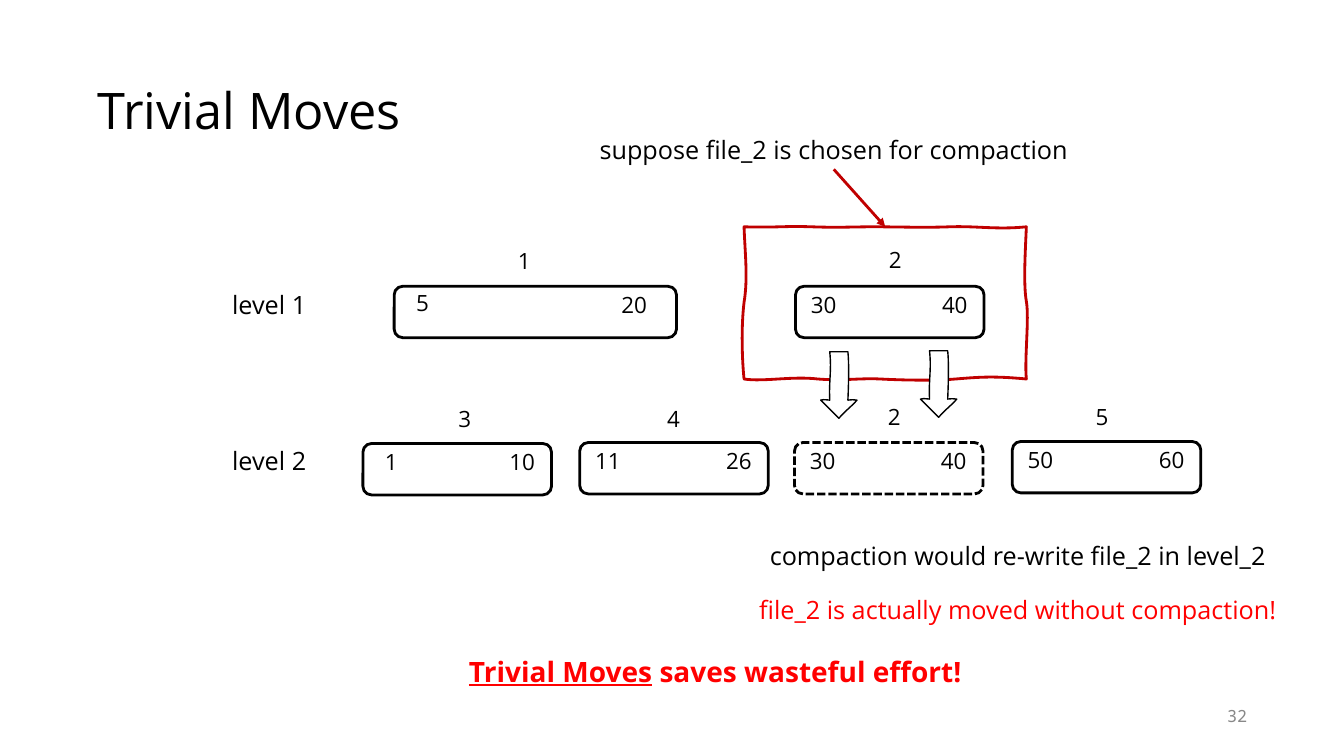
from collections import namedtuple
from dataclasses import dataclass

from lxml import etree
from pptx import Presentation
from pptx import util as u
from pptx.dml.color import RGBColor
from pptx.enum import dml, shapes, text
from pptx.oxml.ns import qn


@dataclass(frozen=True)
class Theme:
    font: str = "Open Sans"
    number_font: str = "Noto Sans Mono"
    black: str = "000000"
    white: str = "FFFFFF"
    red: str = "FF0000"
    dark_red: str = "C00000"
    gray: str = "888888"
    title: int = 36
    summary: int = 20
    body: int = 18
    key: int = 16
    footer: int = 12
    outline: float = 2
    arrow_outline: float = 1


THEME = Theme()
File = namedtuple("File", "number low high left top width number_left number_top "
                  "high_inset low_lift", defaults=(0.29, 0))

TITLE = "Trivial Moves"
CHOICE = "suppose file_2 is chosen for compaction"
LEVELS = [("level 1", 2.82), ("level 2", 4.37)]
NOTES = [
    ("compaction would re-write file_2 in level_2", 5.31, THEME.black),
    ("file_2 is actually moved without compaction!", 5.85, THEME.red),
]
SUMMARY = ["Trivial Moves", " saves wasteful effort!"]
PAGE = "32"
FILES = [
    File("1", "5", "20", 3.91, 2.84, 2.8, 5.03, 2.4, 0.42, 0.02),
    File("2", "30", "40", 7.89, 2.84, 1.87, 8.71, 2.39),
    File("3", "1", "10", 3.6, 4.4, 1.87, 4.44, 3.97),
    File("4", "11", "26", 5.75, 4.39, 1.87, 6.51, 3.97),
    File("5", "50", "60", 10.04, 4.38, 1.87, 10.76, 3.95),
]
MOVED_FILE = File("2", "30", "40", 7.88, 4.39, 1.87, 8.7, 3.95)
ARROW_OFFSETS = [(9.13, 3.48), (8.14, 3.49)]
FRAME_START = (7.38, 2.25)
FRAME_CURVES = [
    (7.71, 2.26, 7.77, 2.24, 8.05, 2.25), (8.34, 2.26, 8.43, 2.25, 8.67, 2.25),
    (8.91, 2.25, 9.16, 2.26, 9.42, 2.25), (9.68, 2.24, 9.89, 2.28, 10.18, 2.25),
    (10.17, 2.49, 10.15, 2.82, 10.18, 2.99), (10.21, 3.16, 10.16, 3.56, 10.18, 3.76),
    (9.86, 3.73, 9.72, 3.74, 9.48, 3.76), (9.24, 3.78, 8.92, 3.77, 8.73, 3.76),
    (8.53, 3.75, 8.36, 3.78, 8.11, 3.76), (7.86, 3.73, 7.57, 3.79, 7.38, 3.76),
    (7.36, 3.57, 7.35, 3.25, 7.38, 3), (7.42, 2.76, 7.39, 2.52, 7.38, 2.25),
]
ARROW_START = (0, 0.48)
ARROW_CURVES = [
    (0.04, 0.47, 0.06, 0.48, 0.09, 0.48), (0.08, 0.28, 0.11, 0.2, 0.09, 0),
    (0.14, 0, 0.19, 0, 0.27, 0), (0.28, 0.09, 0.28, 0.27, 0.27, 0.48),
    (0.3, 0.47, 0.33, 0.48, 0.36, 0.48), (0.3, 0.55, 0.26, 0.57, 0.18, 0.66),
    (0.13, 0.61, 0.06, 0.54, 0, 0.48),
]


def color(value):
    return RGBColor.from_string(value)


def style(paragraph, size, ink=THEME.black, align=text.PP_ALIGN.CENTER, font=THEME.font):
    paragraph.alignment = align
    for run in paragraph.runs:
        run.font.name = font
        run.font.size = u.Pt(size)
        run.font.color.rgb = color(ink)


def add_text(container, words, box, size, ink=THEME.black, inset=0.05, wrap=True, **options):
    textbox = container.add_textbox(*map(u.Inches, box))
    frame = textbox.text_frame
    frame.word_wrap = wrap
    frame.auto_size = text.MSO_AUTO_SIZE.SHAPE_TO_FIT_TEXT
    frame.margin_left = frame.margin_right = u.Inches(inset)
    frame.text = words
    style(frame.paragraphs[0], size, ink, **options)
    return textbox


def outline(shape, ink, width, fill=None):
    shape.shadow.inherit = False
    if fill:
        shape.fill.solid()
        shape.fill.fore_color.rgb = color(fill)
    else:
        shape.fill.background()
    shape.line.color.rgb = color(ink)
    shape.line.width = u.Pt(width)


def add_file(slide, file, dashed=False):
    group = slide.shapes.add_group_shape().shapes
    box = map(u.Inches, (file.left, file.top, file.width, 0.51))
    shape = group.add_shape(shapes.MSO_SHAPE.ROUNDED_RECTANGLE, *box)
    outline(shape, THEME.black, THEME.outline, THEME.white)
    if dashed:
        shape.line.dash_style = dml.MSO_LINE.SQUARE_DOT
    keys = [
        (file.low, file.left + 0.28, file.top - file.low_lift),
        (file.high, file.left + file.width - file.high_inset, file.top),
    ]
    for words, center, top in keys:
        add_text(group, words, (center - 0.4, top, 0.8, 0.37), THEME.key, inset=0.1)
    add_text(group, file.number, (file.number_left, file.number_top, 0.34, 0.37),
             THEME.key, inset=0.1, wrap=False)


def add_sketch(slide, start, curves, ink, width, fill=None, offset=(0, 0)):
    def place(x, y):
        return u.Inches(x + offset[0]), u.Inches(y + offset[1])

    builder = slide.shapes.build_freeform(*place(*start))
    builder.add_line_segments([place(*curve[4:]) for curve in curves])
    shape = builder.convert_to_shape()
    outline(shape, ink, width, fill)
    segments = list(shape._element.iter(qn("a:lnTo")))
    for segment, curve in zip(segments, curves):
        bezier = etree.Element(qn("a:cubicBezTo"))
        for x, y in zip(curve[::2], curve[1::2]):
            left, top = place(x, y)
            etree.SubElement(bezier, qn("a:pt"),
                             x=str(left - shape.left), y=str(top - shape.top))
        segment.getparent().replace(segment, bezier)


def add_pointer(slide, source, end):
    pointer = slide.shapes.add_connector(
        shapes.MSO_CONNECTOR.STRAIGHT, 0, 0, *map(u.Inches, end))
    pointer.begin_connect(source, 2)
    pointer.line.color.rgb = color(THEME.dark_red)
    pointer.line.width = u.Pt(THEME.outline)
    etree.SubElement(pointer.line._get_or_add_ln(), qn("a:tailEnd"), type="triangle")
    etree.SubElement(pointer._element.spPr, qn("a:effectLst"))


def add_title(slide):
    title = slide.shapes.title
    title.left, title.top, title.width, title.height = map(u.Inches, (0.92, 0.4, 11.5, 1.45))
    frame = title.text_frame
    frame.text = TITLE
    frame.vertical_anchor = text.MSO_ANCHOR.MIDDLE
    frame.margin_left = frame.margin_right = u.Inches(0.05)
    frame.paragraphs[0].line_spacing = 0.9
    style(frame.paragraphs[0], THEME.title, align=text.PP_ALIGN.LEFT)


def add_summary(slide):
    textbox = add_text(slide.shapes, SUMMARY[0], (4.25, 6.44, 5.69, 0.44), THEME.summary)
    paragraph = textbox.text_frame.paragraphs[0]
    paragraph.add_run().text = SUMMARY[1]
    style(paragraph, THEME.summary, THEME.red)
    for run in paragraph.runs:
        run.font.bold = True
    paragraph.runs[0].font.underline = True


def main():
    presentation = Presentation()
    presentation.slide_width, presentation.slide_height = u.Inches(13.33), u.Inches(7.5)
    slide = presentation.slides.add_slide(presentation.slide_layouts[5])
    add_title(slide)
    choice = add_text(slide.shapes, CHOICE, (5.63, 1.28, 5.28, 0.4), THEME.body)
    add_pointer(slide, choice, (8.78, 2.25))
    for words, top in LEVELS:
        add_text(slide.shapes, words, (2.17, top, 1, 0.4), THEME.body, inset=0.1, wrap=False)
    for file in FILES:
        add_file(slide, file)
    add_sketch(slide, FRAME_START, FRAME_CURVES, THEME.dark_red, THEME.outline)
    add_file(slide, MOVED_FILE, dashed=True)
    for offset in ARROW_OFFSETS:
        add_sketch(slide, ARROW_START, ARROW_CURVES, THEME.black, THEME.arrow_outline,
                   THEME.white, offset)
    for words, top, ink in NOTES:
        add_text(slide.shapes, words, (7.25, top, 5.69, 0.4), THEME.body, ink)
    add_summary(slide)
    page = add_text(slide.shapes, PAGE, (9.31, 6.9, 3.11, 0.4), THEME.footer, THEME.gray,
                    align=text.PP_ALIGN.RIGHT, font=THEME.number_font)
    page.text_frame.auto_size = text.MSO_AUTO_SIZE.NONE
    page.text_frame.vertical_anchor = text.MSO_ANCHOR.MIDDLE
    presentation.save("out.pptx")


if __name__ == "__main__":
    main()
